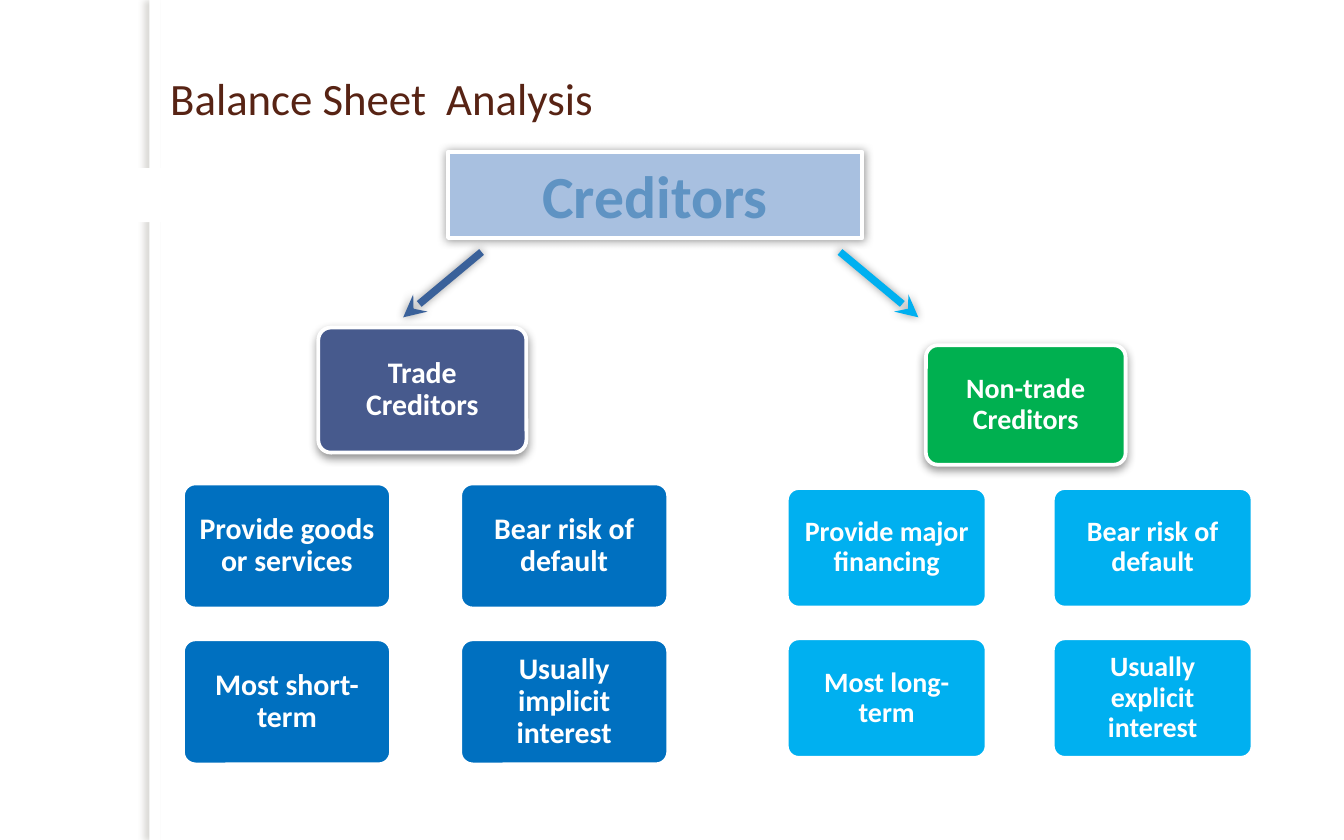
from dataclasses import dataclass

from lxml import etree
from pptx import Presentation
from pptx.dml.color import RGBColor
from pptx.enum.shapes import MSO_CONNECTOR, MSO_SHAPE
from pptx.enum.text import MSO_ANCHOR, PP_ALIGN
from pptx.oxml.ns import qn
from pptx.util import Pt

RECT, ROUNDED = MSO_SHAPE.RECTANGLE, MSO_SHAPE.ROUNDED_RECTANGLE
STRAIGHT = MSO_CONNECTOR.STRAIGHT
LEFT, CENTER = PP_ALIGN.LEFT, PP_ALIGN.CENTER
MIDDLE, BOTTOM = MSO_ANCHOR.MIDDLE, MSO_ANCHOR.BOTTOM


@dataclass(frozen=True)
class Theme:
    font: str = "Calibri"
    white: str = "FFFFFF"
    title: str = "572314"
    banner: str = "A8C0E0"
    banner_text: str = "5F93C3"
    trade_head: str = "475A8D"
    trade_card: str = "0070C0"
    trade_arrow: str = "3A619A"
    other_head: str = "00B050"
    other_card: str = "00B0F0"
    title_size: int = 24
    banner_size: int = 32
    trade_size: int = 16
    other_size: int = 15


T = Theme()


def rgb(value):
    return RGBColor.from_string(value)


def add_shadow(shape, color="000000", alpha=40, blur=5, dist=0, angle=0):
    """Replace the effects of a shape or connector with one outer shadow."""
    sp_pr = shape._element.spPr
    for old in sp_pr.findall(qn("a:effectLst")):
        sp_pr.remove(old)
    effects = etree.SubElement(sp_pr, qn("a:effectLst"))
    outer = etree.SubElement(effects, qn("a:outerShdw"), blurRad=str(Pt(blur)),
                             dist=str(Pt(dist)), dir=str(angle * 60000),
                             algn="ctr", rotWithShape="0")
    clr = etree.SubElement(outer, qn("a:srgbClr"), val=color)
    etree.SubElement(clr, qn("a:alpha"), val=str(alpha * 1000))


def write(tf, text, *, size, color, bold=False, align=CENTER, anchor=MIDDLE,
          spacing=None, inset=None):
    tf.word_wrap = True
    tf.vertical_anchor = anchor
    if inset is not None:
        tf.margin_left = tf.margin_right = Pt(inset)
        tf.margin_top = tf.margin_bottom = Pt(inset)
    p = tf.paragraphs[0]
    p.alignment = align
    if spacing:
        p.line_spacing = spacing
    r = p.add_run()
    r.text = text
    r.font.name, r.font.size, r.font.bold = T.font, Pt(size), bold
    r.font.color.rgb = rgb(color)


def add_box(s, box, fill, kind=RECT, line=None):
    sp = s.shapes.add_shape(kind, *map(Pt, box))
    sp.shadow.inherit = False
    sp.fill.solid()
    sp.fill.fore_color.rgb = rgb(fill)
    if line:
        sp.line.color.rgb = rgb(line)
        sp.line.width = Pt(2)
    else:
        sp.line.fill.background()
    return sp


def add_card(s, box, text, fill, size):
    sp = add_box(s, box, fill, ROUNDED, T.white)
    sp.adjustments[0] = 0.1
    write(sp.text_frame, text, size=size, color=T.white, bold=True,
          spacing=0.9, inset=6.5)
    return sp


def add_side_strip(s, box, notch):
    """White strip casting a shadow to the left, broken by a notch."""
    add_shadow(add_box(s, box, T.white), "736F63", 25, 3, 3, 180)
    add_box(s, notch, T.white)


def add_title(s, box, text):
    sp = s.shapes.title
    sp.left, sp.top, sp.width, sp.height = map(Pt, box)
    write(sp.text_frame, text, size=T.title_size, color=T.title,
          align=LEFT, anchor=BOTTOM)


def add_banner(s, box, text):
    sp = add_box(s, box, T.banner, line=T.white)
    add_shadow(sp)
    write(sp.text_frame, text, size=T.banner_size, color=T.banner_text, bold=True)


def add_arrow(s, start, end, color):
    cx = s.shapes.add_connector(STRAIGHT, *map(Pt, (*start, *end)))
    cx.line.color.rgb = rgb(color)
    cx.line.width = Pt(4)
    etree.SubElement(cx.line._get_or_add_ln(), qn("a:tailEnd"), type="stealth")
    add_shadow(cx)


def add_creditor_group(s, box, card, head_at, head, traits, head_fill, card_fill, size):
    """Heading card above a two-column grid whose outer edges fill the box."""
    x, y, w, h = box
    cw, ch = card
    add_shadow(add_card(s, (*head_at, cw, ch), head, head_fill, size),
               alpha=43, dist=2, angle=90)
    for i, text in enumerate(traits):
        row, col = divmod(i, 2)
        place = (x + col * (w - cw), y + row * (h - ch), cw, ch)
        add_card(s, place, text, card_fill, size)


def main():
    prs = Presentation()
    prs.slide_width, prs.slide_height = Pt(720), Pt(450)
    s = prs.slides.add_slide(prs.slide_layouts[5])

    # Frame and title
    add_side_strip(s, (80, 0, 6, 450), (36, 90, 492, 29))
    add_title(s, (84, 15, 582, 55.5), "Balance Sheet  Analysis")

    # The two kinds of creditor
    add_creditor_group(
        s, (98, 259, 260, 150.5), (111.5, 67), (170.5, 175.5), "Trade Creditors",
        ["Provide goods or services", "Bear risk of default",
         "Most short-term", "Usually implicit interest"],
        T.trade_head, T.trade_card, T.trade_size)
    add_creditor_group(
        s, (421.5, 261.5, 249.5, 144.5), (107, 64), (496, 185), "Non-trade Creditors",
        ["Provide major financing", "Bear risk of default",
         "Most long-term", "Usually explicit interest"],
        T.other_head, T.other_card, T.other_size)

    # Banner and its arrows
    add_banner(s, (240, 81.5, 222, 46), "Creditors")
    add_arrow(s, (258, 135), (216, 170), T.trade_arrow)
    add_arrow(s, (450, 135), (492, 170), T.other_card)

    prs.save("out.pptx")


if __name__ == "__main__":
    main()
